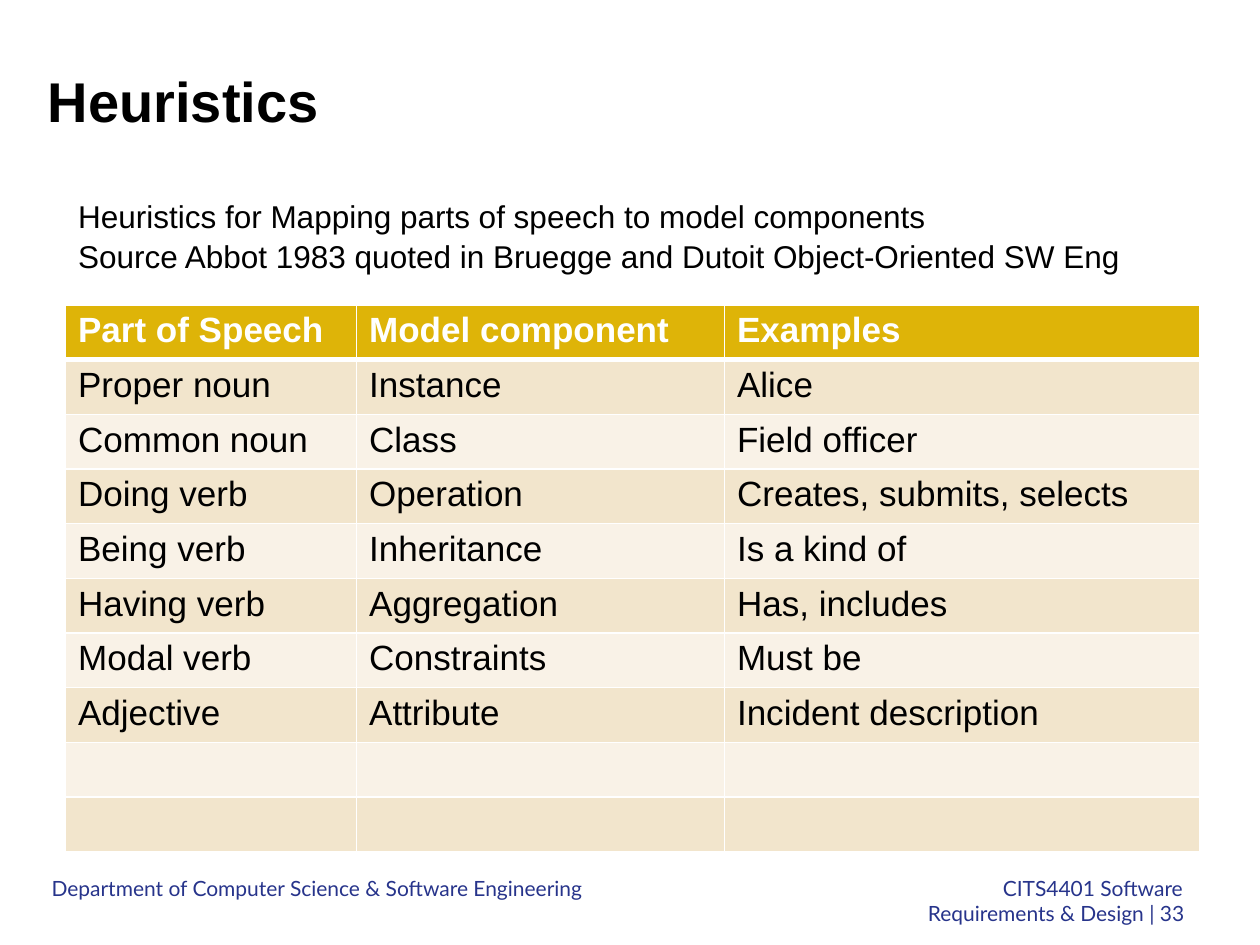
import pptx
import pptx.util
import pptx.dml.color
import pptx.enum.text
import pptx.oxml
import pptx.oxml.ns
from lxml import etree

TITLE = "Heuristics"
INTRO = (
    "Heuristics for Mapping parts of speech to model components\v"
    "Source Abbot 1983 quoted in Bruegge and Dutoit Object-Oriented SW Eng"
)
ROWS = [
    ("Part of Speech", "Model component", "Examples"),
    ("Proper noun", "Instance", "Alice"),
    ("Common noun", "Class", "Field officer"),
    ("Doing verb", "Operation", "Creates, submits, selects"),
    ("Being verb", "Inheritance", "Is a kind of"),
    ("Having verb", "Aggregation", "Has, includes"),
    ("Modal verb", "Constraints", "Must be"),
    ("Adjective", "Attribute", "Incident description"),
    ("", "", ""),
    ("", "", ""),
]
FOOT = [
    "Department of Computer Science & Software Engineering\tCITS4401 Software",
    "Requirements & Design | 33",
]

Pt = pptx.util.Pt
Inches = pptx.util.Inches
Align = pptx.enum.text.PP_ALIGN
Anchor = pptx.enum.text.MSO_ANCHOR
Fit = pptx.enum.text.MSO_AUTO_SIZE

THEME = {
    "head": "DEB408",
    "bands": ("F9F2E7", "F2E5CC"),
    "rule": "FFFFFF",
    "title": {"name": "Arial", "size": Pt(32), "bold": True, "color": "000000"},
    "intro": {"name": "Arial", "size": Pt(18), "bold": False, "color": "000000"},
    "top": {"name": "Arial", "size": Pt(20), "bold": True, "color": "FFFFFF"},
    "cell": {"name": "Arial", "size": Pt(20), "bold": False, "color": "000000"},
    "foot": {"name": "Lato", "size": Pt(12), "bold": False, "color": "27348B"},
}
WIDE, HIGH = Inches(10), Inches(7.5)
AREAS = {
    "title": (2.8, 5.87, 67.3, 9.47),
    "intro": (5.2, 20, 90, 66),
    "table": (5.2, 32.27, 90, 54.67),
    "foot": (2, 92.67, 93, 5.33),
}
COLS = (2.31, 2.92, 3.77)


def put(item, vals):
    for key, val in vals.items():
        setattr(item, key, val)


def area(name):
    sides = (WIDE, HIGH, WIDE, HIGH)
    return [int(side * part / 100) for side, part in zip(sides, AREAS[name])]


def place(shape, name):
    put(shape, dict(zip(("left", "top", "width", "height"), area(name))))


def style(font, name):
    look = dict(THEME[name])
    tint = look.pop("color")
    put(font, look)
    font.color.rgb = pptx.dml.color.RGBColor.from_string(tint)


def rule(cell, sides):
    props = cell._tc.get_or_add_tcPr()
    for spot, (side, size) in enumerate(sides.items()):
        line = etree.Element(pptx.oxml.ns.qn("a:ln" + side), w=str(Pt(size)))
        fill = etree.SubElement(line, pptx.oxml.ns.qn("a:solidFill"))
        etree.SubElement(fill, pptx.oxml.ns.qn("a:srgbClr"), val=THEME["rule"])
        props.insert(spot, line)


def write(slide):
    title, body = slide.placeholders
    for shape, name, text in ((title, "title", TITLE), (body, "intro", INTRO)):
        place(shape, name)
        frame = shape.text_frame
        frame.text = text
        put(frame, {"word_wrap": True, "auto_size": Fit.NONE})
        para = frame.paragraphs[0]
        props = para._p.get_or_add_pPr()
        put(para, {"alignment": Align.LEFT, "space_before": Pt(0)})
        if name == "intro":
            para.line_spacing = 1.05
            props.set("marL", "0")
            props.set("indent", "0")
            etree.SubElement(props, pptx.oxml.ns.qn("a:buNone"))
        for run in para.runs:
            style(run.font, name)
    title.text_frame.vertical_anchor = Anchor.MIDDLE
    body.text_frame.vertical_anchor = Anchor.TOP


def chart(slide):
    frame = slide.shapes.add_table(len(ROWS), len(COLS), *area("table"))
    table = frame.table
    for col, width in zip(table.columns, COLS):
        col.width = Inches(width)
    for num, texts in enumerate(ROWS):
        table.rows[num].height = Inches(0.41)
        tint = THEME["bands"][num % 2] if num else THEME["head"]
        for col, text in enumerate(texts):
            cell = table.cell(num, col)
            cell.text = text
            style(cell.text_frame.paragraphs[0].font, "cell" if num else "top")
            for run in cell.text_frame.paragraphs[0].runs:
                style(run.font, "cell" if num else "top")
            cell.fill.solid()
            cell.fill.fore_color.rgb = pptx.dml.color.RGBColor.from_string(tint)
            above = 3 if num == 1 else 1
            below = 1 if num else 3
            rule(cell, {"L": 1, "R": 1, "T": above, "B": below})


def foot(slide):
    frame = slide.shapes.add_textbox(*area("foot")).text_frame
    put(frame, {
        "word_wrap": True, "vertical_anchor": Anchor.MIDDLE,
        "margin_left": Inches(0.21), "margin_top": 0, "margin_bottom": 0,
    })
    frame.text = "\n".join(FOOT)
    first, last = frame.paragraphs
    tabs = etree.SubElement(first._p.get_or_add_pPr(), pptx.oxml.ns.qn("a:tabLst"))
    etree.SubElement(tabs, pptx.oxml.ns.qn("a:tab"), pos=str(Inches(8.98)), algn="r")
    last.alignment = Align.RIGHT
    for para in frame.paragraphs:
        for run in para.runs:
            style(run.font, "foot")


def main():
    deck = pptx.Presentation()
    put(deck, {"slide_width": WIDE, "slide_height": HIGH})
    slide = deck.slides.add_slide(deck.slide_layouts[1])
    foot(slide)
    write(slide)
    chart(slide)
    deck.save("out.pptx")


if __name__ == "__main__":
    main()
